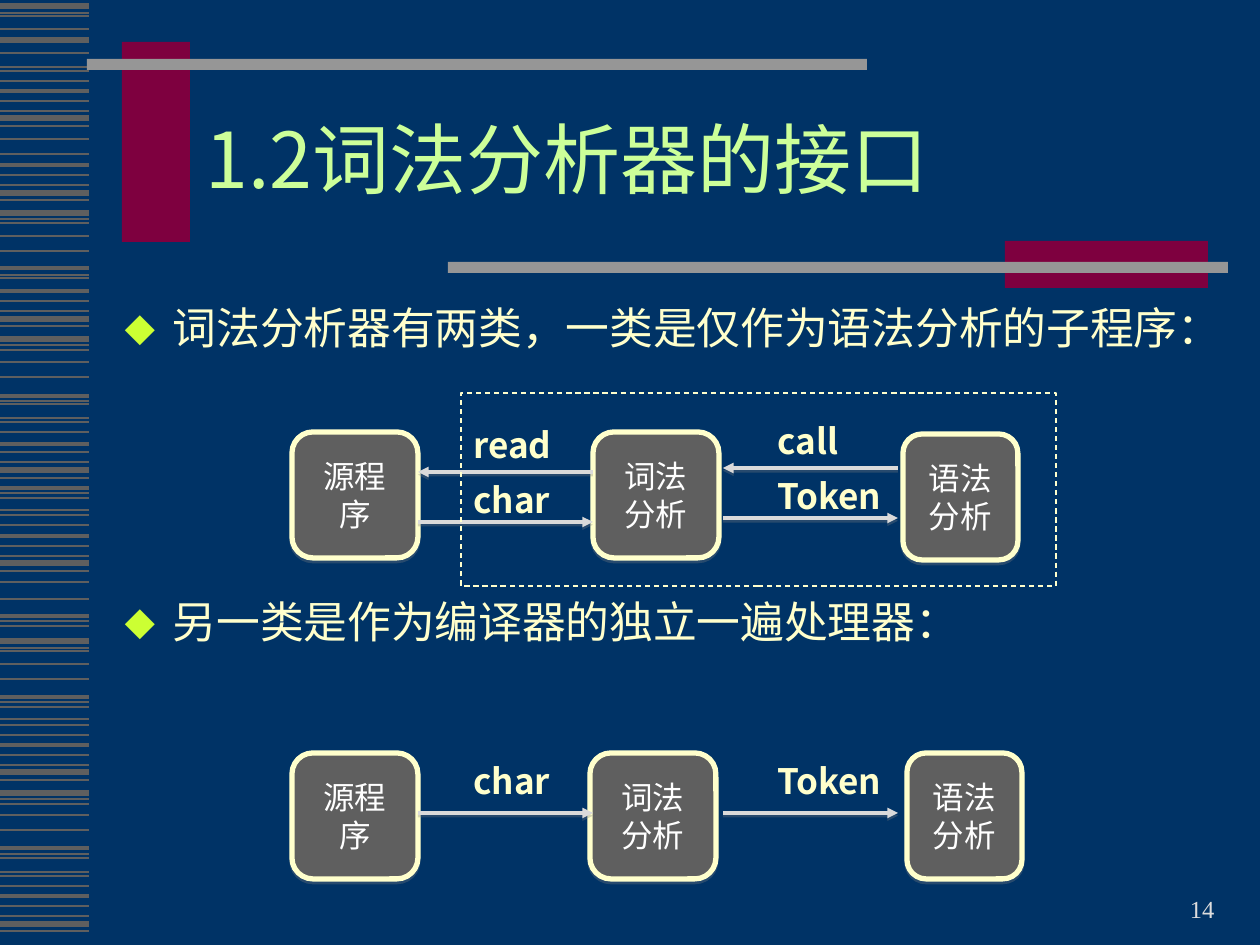
"""Build the slide on the interfaces of a lexical analyser."""
from lxml import etree
from pptx import Presentation
from pptx.dml.color import RGBColor
from pptx.enum.dml import MSO_LINE
from pptx.enum.shapes import MSO_CONNECTOR, MSO_SHAPE
from pptx.enum.text import MSO_ANCHOR, MSO_AUTO_SIZE, PP_ALIGN
from pptx.oxml.ns import qn
from pptx.util import Inches, Pt

PX = 914400 // 126
FONT = "Noto Sans CJK SC"
CREAM, GREY, MAROON, SILVER = "FFFFCC", "5F5F5F", "7E003F", "969696"
RECT, ROUND = MSO_SHAPE.RECTANGLE, MSO_SHAPE.ROUNDED_RECTANGLE
STRAIGHT = MSO_CONNECTOR.STRAIGHT
LEFT, CENTER, RIGHT = PP_ALIGN.LEFT, PP_ALIGN.CENTER, PP_ALIGN.RIGHT
TOP, MIDDLE, BOTTOM = MSO_ANCHOR.TOP, MSO_ANCHOR.MIDDLE, MSO_ANCHOR.BOTTOM
rgb = RGBColor.from_string


def write(sp, text, size, color, align=LEFT, anchor=TOP, font=FONT, bold=False):
    tf = sp.text_frame
    tf.text = text
    tf.word_wrap = True
    tf.auto_size = MSO_AUTO_SIZE.NONE
    tf.vertical_anchor = anchor
    for p in tf.paragraphs:
        p.alignment = align
        for r in p.runs:
            r.font.size = Pt(size)
            r.font.bold = bold
            r.font.color.rgb = rgb(color)
            r.font.name = font
            etree.SubElement(r.font._element, qn("a:ea"), typeface=font)


def add_shadow(sp):
    effects = sp._element.spPr.find(qn("a:effectLst"))
    outer = etree.SubElement(effects, qn("a:outerShdw"), dist="20320",
                             dir="5400000", rotWithShape="0")
    shade = etree.SubElement(outer, qn("a:srgbClr"), val="808080")
    etree.SubElement(shade, qn("a:alpha"), val="31000")


prs = Presentation()
prs.slide_width, prs.slide_height = Inches(10), Inches(7.5)
slide = prs.slides.add_slide(prs.slide_layouts[1])
shapes = slide.shapes
slide.background.fill.solid()
slide.background.fill.fore_color.rgb = rgb("003366")

stripes = {
    3: [6, 40, 118, 193, 213, 319, 339, 470, 563, 641, 772, 793, 924],
    2.25: [91, 165, 268, 291, 396, 444, 488, 536, 616, 697, 745, 848, 896],
    1.5: [53, 71, 101, 126, 175, 200, 278, 301, 326, 404, 422, 452, 478,
          498, 515, 546, 571, 626, 707, 725, 755, 780, 858, 876, 906, 931],
    1: [16, 29, 81, 139, 154, 223, 236, 251, 350, 362, 377, 432,
        525, 582, 599, 651, 664, 679, 735, 804, 815, 830, 886],
    0.75: [13, 67, 111, 185, 219, 275, 311, 345, 401, 418, 462, 493,
           510, 556, 621, 648, 702, 719, 765, 799, 854, 872, 916],
}
for weight, rows in stripes.items():
    for y in rows:
        stripe = shapes.add_connector(STRAIGHT, 0, y * PX, 89 * PX, y * PX)
        stripe.line.color.rgb = rgb(GREY)
        stripe.line.width = Pt(weight)
        etree.SubElement(stripe._element.spPr, qn("a:effectLst"))

for x, y, w, h, color in [(122, 42, 68, 200, MAROON), (87, 59, 780, 11, SILVER),
                          (1005, 241, 203, 47, MAROON), (448, 262, 780, 11, SILVER)]:
    bar = shapes.add_shape(RECT, x * PX, y * PX, w * PX, h * PX)
    bar.shadow.inherit = False
    bar.fill.solid()
    bar.fill.fore_color.rgb = rgb(color)
    bar.line.fill.background()

number = shapes.add_textbox(925 * PX, 867 * PX, 302 * PX, 63 * PX)
write(number, "14", 14, "DDDDDD", RIGHT, BOTTOM, "Times New Roman")

title = shapes.title
title.left, title.top, title.width, title.height = 193 * PX, 86 * PX, 1017 * PX, 157 * PX
write(title, "1.2词法分析器的接口", 44, "CCFF99", LEFT, MIDDLE)
title.text_frame.paragraphs[0].line_spacing = 0.85

body = slide.placeholders[1]
body.left, body.top, body.width, body.height = 112 * PX, 305 * PX, 1096 * PX, 534 * PX
write(body, "词法分析器有两类，一类是仅作为语法分析的子程序：\n"
            "另一类是作为编译器的独立一遍处理器：", 25, CREAM)
for p, gap in zip(body.text_frame.paragraphs, (0, 144)):
    p.line_spacing = 0.8
    p.space_before = Pt(gap)
    pPr = p._p.get_or_add_pPr()
    pPr.set("marL", str(48 * PX))
    pPr.set("indent", str(-48 * PX))
    bullet = etree.SubElement(pPr, qn("a:buClr"))
    etree.SubElement(bullet, qn("a:srgbClr"), val="CCFF33")
    etree.SubElement(pPr, qn("a:buChar"), char="⬥")

for text, x, y, w in [("源程序", 292, 432, 126), ("词法分析", 593, 432, 126),
                      ("语法分析", 903, 434, 115), ("源程序", 292, 753, 126),
                      ("词法分析", 590, 753, 126), ("语法分析", 907, 753, 115)]:
    box = shapes.add_shape(ROUND, x * PX, y * PX, w * PX, 126 * PX)
    box.shadow.inherit = False
    box.fill.solid()
    box.fill.fore_color.rgb = rgb(GREY)
    box.line.color.rgb = rgb(CREAM)
    box.line.width = Pt(3)
    add_shadow(box)
    write(box, text, 18, "FFFFFF", CENTER, MIDDLE)

for text, x1, x2, y, label_x, label_y, label_w in [
        ("char", 418, 593, 522, 461, 472, 110),
        ("read", 593, 418, 472, 461, 417, 110),
        ("Token", 723, 898, 518, 765, 468, 132),
        ("call", 898, 723, 468, 765, 413, 110),
        ("char", 418, 593, 813, 461, 753, 110),
        ("Token", 723, 898, 813, 765, 753, 132)]:
    arrow = shapes.add_connector(STRAIGHT, x1 * PX, y * PX, x2 * PX, y * PX)
    arrow.line.color.rgb = rgb("DADADA")
    arrow.line.width = Pt(2)
    etree.SubElement(arrow.line._get_or_add_ln(), qn("a:tailEnd"), type="triangle")
    etree.SubElement(arrow._element.spPr, qn("a:effectLst"))
    add_shadow(arrow)
    label = shapes.add_textbox(label_x * PX, label_y * PX, label_w * PX, 54 * PX)
    write(label, text, 20, CREAM, bold=True)

frame = shapes.add_shape(RECT, 461 * PX, 393 * PX, 595 * PX, 193 * PX)
frame.shadow.inherit = False
frame.fill.background()
frame.line.color.rgb = rgb(CREAM)
frame.line.width = Pt(0.75)
frame.line.dash_style = MSO_LINE.DASH

prs.save("out.pptx")
